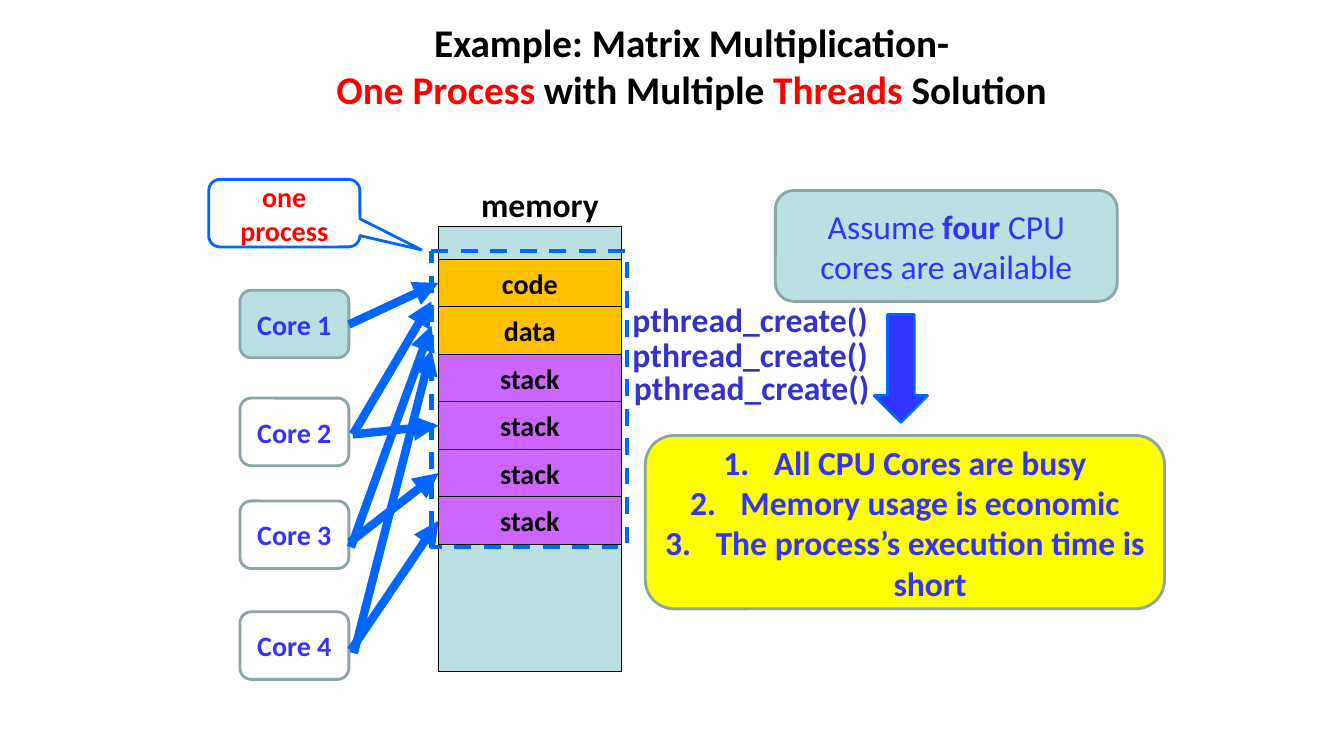
from lxml import etree
from pptx import Presentation
from pptx.dml.color import RGBColor
from pptx.enum.dml import MSO_LINE
from pptx.enum.shapes import MSO_CONNECTOR, MSO_SHAPE
from pptx.enum.text import MSO_ANCHOR, PP_ALIGN
from pptx.oxml.ns import qn
from pptx.util import Inches, Pt

# Content: a paragraph is a list of (text, colour, bold) runs.
# Lengths count columns and rows of a one-inch grid.
BLACK, RED, BLUE, VIOLET_BLUE = "000000", "FF0000", "3333FF", "3333CC"
PALE, GREY, ARROW, ORANGE, PURPLE = "BBE0E3", "8AA6A8", "0066FF", "FFC000", "CC66FF"

TITLE = [
    ("Example: Matrix Multiplication-\v", BLACK, True),
    ("One Process", RED, True),
    (" with Multiple ", BLACK, True),
    ("Threads", RED, True),
    (" Solution", BLACK, True),
]
SEGMENTS = [("code", ORANGE), ("data", ORANGE)] + [("stack", PURPLE)] * 4
# name, fill, top, start of the arrow to its own segment, that segment's row
CORES = [
    ("Core 1", PALE, 2.88, (3.46, 3.22), 0),
    ("Core 2", None, 3.95, (3.5, 4.31), 3),
    ("Core 3", None, 4.97, (3.47, 5.38), 4),
    ("Core 4", None, 6.07, (3.48, 6.45), 5),
]
SHARED_STARTS = [(3.5, 4.31), (3.48, 5.43), (3.51, 6.48)]
CALLS = [(6.09, 2.92, 2.7, 0.5), (6.08, 3.26, 2.72, 0.5), (6.12, 3.59, 2.67, 0.5)]
ASSUMPTION = [("Assume ", BLUE, False), ("four", BLUE, True),
              (" CPU cores are available", BLUE, False)]
BENEFITS = ["All CPU Cores are busy", "Memory usage is economic",
            "The process’s execution time is short"]

MEMORY_LEFT, MEMORY_WIDTH = 4.35, 1.81
SEGMENT_TOP, SEGMENT_HEIGHT = 2.57, 0.472
PROCESS_LEFT = 4.28
SHARED_TOP, SHARED_STEP = 2.99, 0.24

deck = Presentation()
deck.slide_width, deck.slide_height = Inches(13.33), Inches(7.5)
slide = deck.slides.add_slide(deck.slide_layouts[6])


def rgb(value):
    return RGBColor.from_string(value)


def grid(*lengths):
    return [Inches(length) for length in lengths]


def write(shape, paragraphs, size, wrap=True, anchor=MSO_ANCHOR.MIDDLE, numbered=False):
    frame = shape.text_frame
    frame.word_wrap, frame.vertical_anchor = wrap, anchor
    for index, runs in enumerate(paragraphs):
        paragraph = frame.add_paragraph() if index else frame.paragraphs[0]
        paragraph.alignment = PP_ALIGN.CENTER
        if numbered:
            properties = paragraph._p.get_or_add_pPr()
            properties.set("marL", str(Inches(0.5)))
            properties.set("indent", str(-Inches(0.5)))
            etree.SubElement(properties, qn("a:buAutoNum"), type="arabicPeriod")
        paragraph.font.size = Pt(size)
        for text, colour, bold in runs:
            run = paragraph.add_run()
            run.text = text.rstrip("\v")
            run.font.name, run.font.size, run.font.bold = "Calibri", Pt(size), bold
            run.font.color.rgb = rgb(colour)
            if text.endswith("\v"):
                paragraph.add_line_break()


def add_box(kind, place, fill, line, width):
    box = slide.shapes.add_shape(kind, *grid(*place))
    box.shadow.inherit = False
    if fill:
        box.fill.solid()
        box.fill.fore_color.rgb = rgb(fill)
    else:
        box.fill.background()
    box.line.color.rgb = rgb(line)
    box.line.width = Pt(width)
    return box


def add_label(place, runs, size, anchor=MSO_ANCHOR.TOP):
    write(slide.shapes.add_textbox(*grid(*place)), [runs], size, anchor=anchor)


def add_arrow(start, end):
    arrow = slide.shapes.add_connector(MSO_CONNECTOR.STRAIGHT, *grid(*start, *end))
    arrow.line.color.rgb = rgb(ARROW)
    arrow.line.width = Pt(6)
    etree.SubElement(arrow.line._get_or_add_ln(), qn("a:tailEnd"), type="triangle")
    etree.SubElement(arrow._element.spPr, qn("a:effectLst"))


add_label((2.36, 0.02, 9, 1.25), TITLE, 28, MSO_ANCHOR.MIDDLE)

# Memory and its segments
add_box(MSO_SHAPE.RECTANGLE, (MEMORY_LEFT, 2.25, MEMORY_WIDTH, 4.41), PALE, BLACK, 0.75)
add_label((4.49, 1.78, 1.73, 0.5), [("memory", BLACK, True)], 24)
for row, (name, fill) in enumerate(SEGMENTS):
    place = (MEMORY_LEFT, SEGMENT_TOP + row * SEGMENT_HEIGHT, MEMORY_WIDTH, SEGMENT_HEIGHT)
    segment = add_box(MSO_SHAPE.RECTANGLE, place, fill, BLACK, 0.75)
    write(segment, [[(name, BLACK, True)]], 20, wrap=False)

# Cores and their arrows
for name, fill, top, start, row in CORES:
    core = add_box(MSO_SHAPE.FLOWCHART_ALTERNATE_PROCESS, (2.38, top, 1.08, 0.67),
                   fill, GREY, 2)
    write(core, [[(name, BLUE, True)]], 20)
    add_arrow(start, (MEMORY_LEFT, SEGMENT_TOP + (row + 0.5) * SEGMENT_HEIGHT))
for index, start in enumerate(SHARED_STARTS):
    add_arrow(start, (PROCESS_LEFT, SHARED_TOP + index * SHARED_STEP))

# Assumption, thread calls and benefits
assumption = add_box(MSO_SHAPE.FLOWCHART_ALTERNATE_PROCESS, (7.69, 1.89, 3.39, 1.1),
                     PALE, GREY, 2)
write(assumption, [ASSUMPTION], 24)
add_box(MSO_SHAPE.DOWN_ARROW, (8.67, 3.12, 0.53, 1.07), BLUE, ARROW, 2)
benefits = add_box(MSO_SHAPE.FLOWCHART_ALTERNATE_PROCESS, (6.4, 4.32, 5.15, 1.72),
                   "FFFF00", GREY, 2)
write(benefits, [[(text, BLUE, True)] for text in BENEFITS], 24, numbered=True)
for place in CALLS:
    add_label(place, [("pthread_create()", VIOLET_BLUE, True)], 24)

# Process outline and its callout
outline = add_box(MSO_SHAPE.FLOWCHART_PROCESS, (PROCESS_LEFT, 2.49, 1.94, 2.94),
                  None, ARROW, 3)
outline.line.dash_style = MSO_LINE.DASH
callout = add_box(MSO_SHAPE.ROUNDED_RECTANGULAR_CALLOUT, (2.07, 1.78, 1.5, 0.67),
                  None, ARROW, 2)
for index, value in enumerate((0.906, 0.542, 0.167)):
    callout.adjustments[index] = value
write(callout, [[("one process", RED, True)]], 20)

deck.save("out.pptx")
